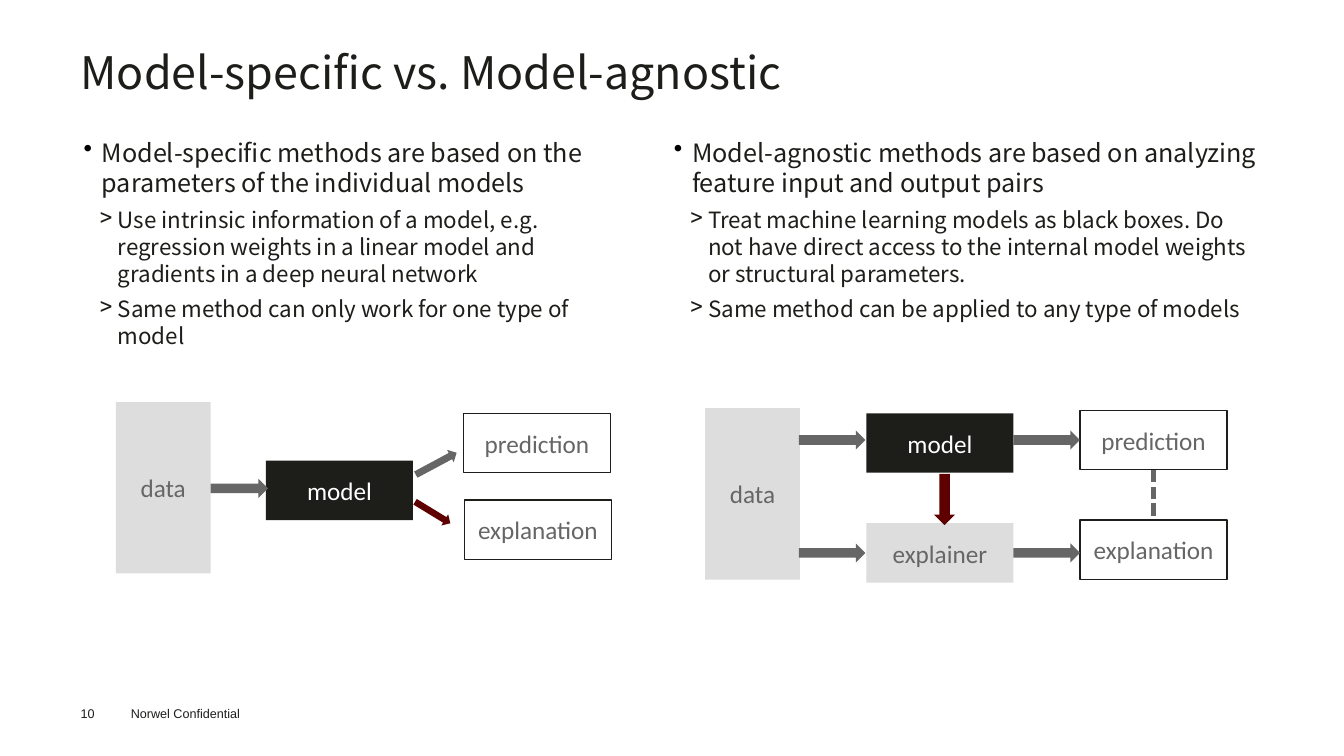
import dataclasses

import lxml.etree
import pptx
import pptx.dml.color
import pptx.enum.dml
import pptx.enum.shapes
import pptx.enum.text
import pptx.oxml.ns
import pptx.util

Inches = pptx.util.Inches
Pt = pptx.util.Pt
Shape = pptx.enum.shapes.MSO_SHAPE
Align = pptx.enum.text.PP_ALIGN

INK, BLACK, WHITE = "1D1D1A", "000000", "FFFFFF"
FOOTER_INK = "1D1D1B"
GRAY, LIGHT, RED = "666666", "DDDDDD", "5F0000"
BODY_FONT, LABEL_FONT, FOOTER_FONT = "Noto Sans CJK SC", "Calibri", "Arial"
BLOCK_WIDTH, BLOCK_HEIGHT = 1.46, 0.59


@dataclasses.dataclass
class Block:
    label: str
    left: float
    top: float
    width: float = BLOCK_WIDTH
    height: float = BLOCK_HEIGHT
    fill: str | None = None
    ink: str = GRAY


@dataclasses.dataclass
class Arrow:
    left: float
    top: float
    width: float = 0.66
    height: float = 0.19
    fill: str = GRAY
    rotation: float = 0


@dataclasses.dataclass
class Level:
    bullet: str
    bullet_color: str
    indent: float
    size: float
    line_height: float


@dataclasses.dataclass
class Column:
    left: float
    width: float
    claim: str
    details: list[str]


CLAIM = Level("•", BLACK, 0.2, 18, 21.5)
DETAIL = Level(">", INK, 0.36, 16, 19.3)

COLUMNS = [
    Column(0.81, 5.3,
           "Model-specific methods are based on the parameters of the individual models",
           ["Use intrinsic information of a model, e.g. regression weights in a linear "
            "model and gradients in a deep neural network",
            "Same method can only work for one type of model"]),
    Column(6.67, 5.87,
           "Model-agnostic methods are based on analyzing feature input and output pairs",
           ["Treat machine learning models as black boxes. Do not have direct access to "
            "the internal model weights or structural parameters.",
            "Same method can be applied to any type of models"]),
]

BLOCKS = [
    Block("data", 1.15, 3.99, 0.94, 1.7, LIGHT),
    Block("model", 2.64, 4.57, fill=INK, ink=WHITE),
    Block("prediction", 4.6, 4.1),
    Block("explanation", 4.61, 4.96),
    Block("data", 7, 4.05, 0.94, 1.7, LIGHT),
    Block("model", 8.6, 4.1, fill=INK, ink=WHITE),
    Block("explainer", 8.6, 5.19, fill=LIGHT),
    Block("prediction", 10.72, 4.07),
    Block("explanation", 10.72, 5.16),
]

ARROWS = [
    Arrow(2.09, 4.75, 0.57),
    Arrow(4.1, 4.53, 0.46, 0.14, rotation=331.8),
    Arrow(4.09, 5.02, 0.41, 0.13, RED, 31.4),
    Arrow(9.12, 4.85, 0.51, 0.21, RED, 90),
    *(Arrow(left, top) for top in (4.27, 5.39) for left in (7.93, 10.06)),
]


def color(value: str) -> pptx.dml.color.RGBColor:
    return pptx.dml.color.RGBColor.from_string(value)


def set_font(paragraph, name: str, size: float, ink: str) -> None:
    paragraph.font.name = name
    paragraph.font.size = Pt(size)
    paragraph.font.color.rgb = color(ink)


def add_box(page, left: float, top: float, width: float, height: float, inset: bool = False):
    """Add a wrapping text box and return its text frame."""
    frame = page.shapes.add_textbox(
        Inches(left), Inches(top), Inches(width), Inches(height)).text_frame
    frame.word_wrap = True
    if not inset:
        frame.margin_left = frame.margin_right = frame.margin_top = frame.margin_bottom = 0
    return frame


def add_bullet(paragraph, level: Level) -> None:
    properties = paragraph._p.get_or_add_pPr()
    properties.set("marL", str(Inches(level.indent)))
    properties.set("indent", str(Inches(-0.18)))
    qn = pptx.oxml.ns.qn
    bullet_color = lxml.etree.SubElement(properties, qn("a:buClr"))
    lxml.etree.SubElement(bullet_color, qn("a:srgbClr"), val=level.bullet_color)
    lxml.etree.SubElement(properties, qn("a:buChar"), char=level.bullet)


def add_column(page, column: Column) -> None:
    frame = add_box(page, column.left, 1.36, column.width, 2.45)
    entries = [(column.claim, CLAIM), *((detail, DETAIL) for detail in column.details)]
    for index, (text, level) in enumerate(entries):
        paragraph = frame.add_paragraph() if index else frame.paragraphs[0]
        paragraph.text = text
        add_bullet(paragraph, level)
        paragraph.line_spacing = Pt(level.line_height)
        paragraph.space_after = Pt(6)
        set_font(paragraph, BODY_FONT, level.size, INK)


def add_figure(page, kind, item: Block | Arrow):
    """Add a shape, filled without a line or outlined without a fill."""
    shape = page.shapes.add_shape(
        kind, Inches(item.left), Inches(item.top), Inches(item.width), Inches(item.height))
    shape.shadow.inherit = False
    if item.fill:
        shape.fill.solid()
        shape.fill.fore_color.rgb = color(item.fill)
        shape.line.fill.background()
    else:
        shape.fill.background()
        shape.line.color.rgb = color(INK)
        shape.line.width = Pt(1)
    return shape


def add_block(page, block: Block) -> None:
    frame = add_figure(page, Shape.RECTANGLE, block).text_frame
    frame.word_wrap = True
    frame.vertical_anchor = pptx.enum.text.MSO_ANCHOR.MIDDLE
    paragraph = frame.paragraphs[0]
    paragraph.text = block.label
    paragraph.alignment = Align.CENTER
    set_font(paragraph, LABEL_FONT, 18, block.ink)


def add_dashed_link(page, x: float, top: float, bottom: float) -> None:
    link = page.shapes.add_connector(
        pptx.enum.shapes.MSO_CONNECTOR.STRAIGHT,
        Inches(x), Inches(top), Inches(x), Inches(bottom))
    link.line.color.rgb = color(GRAY)
    link.line.width = Pt(3)
    link.line.dash_style = pptx.enum.dml.MSO_LINE.SQUARE_DOT
    lxml.etree.SubElement(link._element.spPr, pptx.oxml.ns.qn("a:effectLst"))


def main() -> None:
    deck = pptx.Presentation()
    deck.slide_width, deck.slide_height = Inches(13.34), Inches(7.5)
    page = deck.slides.add_slide(deck.slide_layouts[6])

    title = add_box(page, 0.8, 0.5, 11.75, 1.09).paragraphs[0]
    title.text = "Model-specific vs. Model-agnostic"
    title.line_spacing = Pt(34.3)
    set_font(title, BODY_FONT, 32, INK)

    number = add_box(page, 0.8, 7, 0.55, 0.15).paragraphs[0]
    number.text = "10"
    notice = add_box(page, 1.2, 6.95, 1.6, 0.25, inset=True).paragraphs[0]
    notice.text = "Norwel Confidential"
    for paragraph in (number, notice):
        set_font(paragraph, FOOTER_FONT, 9, FOOTER_INK)

    for column in COLUMNS:
        add_column(page, column)
    for block in BLOCKS:
        add_block(page, block)
    for arrow in ARROWS:
        add_figure(page, Shape.RIGHT_ARROW, arrow).rotation = arrow.rotation
    add_dashed_link(page, 11.45, 4.66, 5.16)
    deck.save("out.pptx")


if __name__ == "__main__":
    main()
